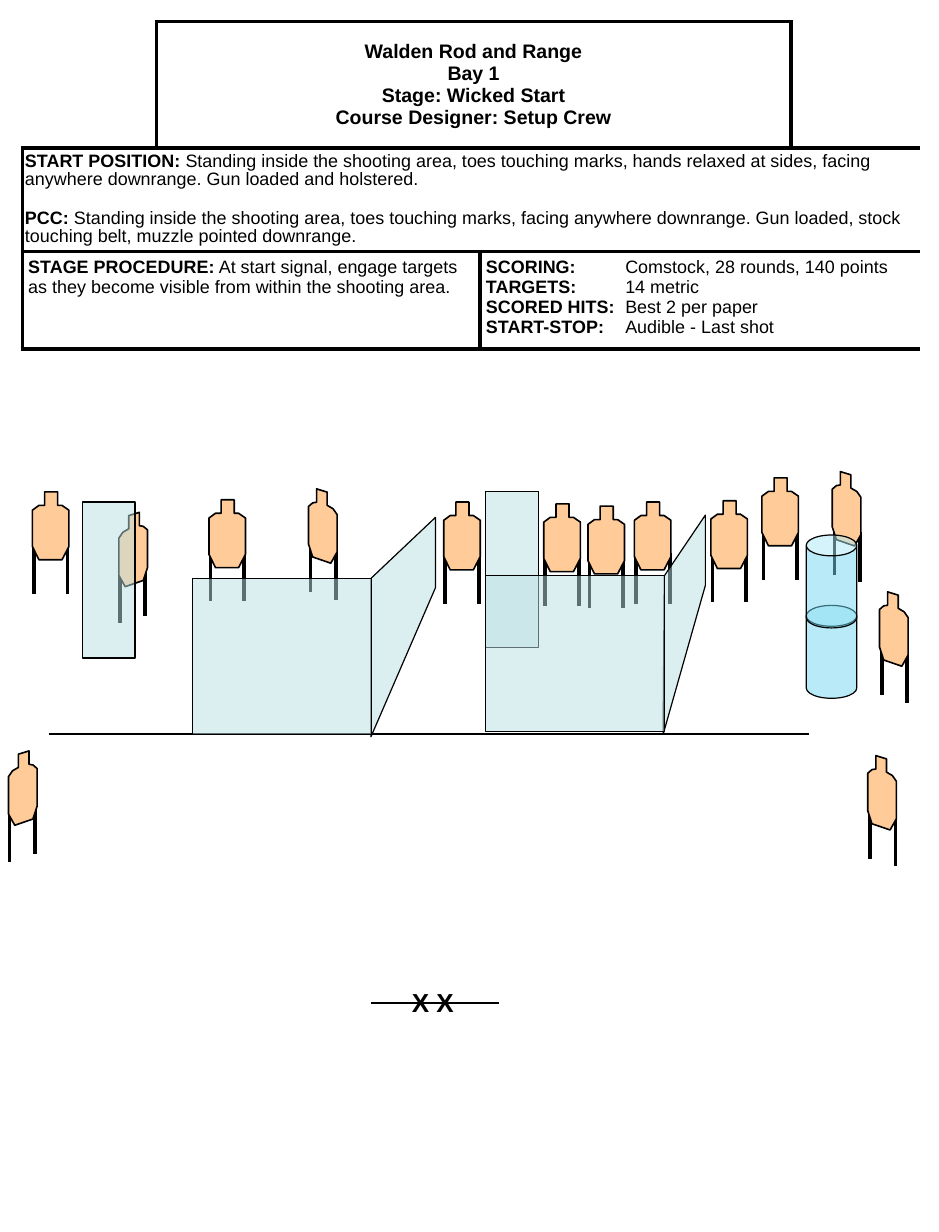
from dataclasses import dataclass
from typing import NamedTuple

from lxml import etree
from pptx import Presentation, util as u
from pptx.dml.color import RGBColor
from pptx.enum import shapes, text
from pptx.oxml import ns


@dataclass(frozen=True)
class Theme:
    font: str = "Arial"
    ink: str = "000000"
    paper: str = "FFFFFF"
    target: str = "FFCC99"
    wall: str = "BBE0E3"
    barrel: str = "73D9F1"
    title_size: float = 12
    body_size: float = 11
    mark_size: float = 16
    thin: float = 0.75
    outline: float = 1
    ground: float = 1.5
    heavy: float = 2.25


THEME = Theme()


class Outline(NamedTuple):
    width: float
    points: list
    legs: list


class Target(NamedTuple):
    left: float
    top: float
    outline: Outline
    mirrored: bool = False


class Panel(NamedTuple):
    left: float
    top: float
    width: float
    height: float


class Region(NamedTuple):
    row: int
    first: int
    last: int
    sides: str
    inset: tuple = (3.6, 3.6)


FRONT = Outline(
    22.4,
    [(7.5, 0), (15.5, 0), (15.5, 8.3), (18.2, 8.3), (22.4, 11.2), (22.4, 33.5),
     (18.2, 41.6), (4, 41.6), (0, 33.5), (0, 11.2), (4, 8.3), (7.5, 8.3)],
    [(0.9, 31, 62.4), (21.6, 31, 62.4)],
)
ANGLED = Outline(
    17.6,
    [(11.5, 2), (5, 0), (5, 8.2), (2.6, 8.6), (0, 10.8), (0, 33.8),
     (2.6, 41.8), (13.7, 45.6), (17.6, 38.7), (17.6, 15.8), (15.1, 12.2), (11.5, 10.1)],
    [(17, 37, 68), (1.4, 32.4, 63.4)],
)
TARGETS = [
    Target(510.5, 289.4, ANGLED),
    Target(272.2, 308.1, FRONT),
    Target(333.6, 309.2, FRONT),
    Target(360.7, 310.6, FRONT),
    Target(389.2, 308.1, FRONT),
    Target(128.2, 306.7, FRONT),
    Target(189.2, 300, ANGLED),
    Target(72.9, 314.4, ANGLED, True),
    Target(19.9, 301.9, FRONT),
    Target(532.3, 463.7, ANGLED),
    Target(5.2, 460.8, ANGLED, True),
    Target(539.5, 363.2, ANGLED),
    Target(436.1, 307.3, FRONT),
    Target(467.4, 293.3, FRONT),
]
BACK_PANEL = Panel(298, 301.4, 32.4, 95.8)
FRONT_PANELS = [
    Panel(118, 355, 110, 95.8),
    Panel(50.4, 308, 32.4, 95.8),
    Panel(297.6, 353.3, 110, 95.8),
]
SIDE_WALLS = [
    [(267.1, 360.7), (227.5, 452.2), (227.5, 355), (267.1, 317.5)],
    [(432.7, 359.3), (406.8, 450.7), (407.5, 353.5), (432.7, 316.1)],
]
BARRELS = [Panel(494.6, top, 31, 57) for top in (371.5, 328.3)]

EMPTY_LEFT = Region(0, 0, 0, "RB")
TITLE = Region(0, 1, 2, "LRTB")
EMPTY_RIGHT = Region(0, 3, 3, "LB")
START = Region(1, 0, 3, "LRTB", (1.6, 2.9))
PROCEDURE = Region(2, 0, 1, "LRTB")
SCORING = Region(2, 2, 3, "LRTB")


def color(value: str) -> RGBColor:
    return RGBColor.from_string(value)


def write(paragraph, content: str, *, size: float = THEME.body_size, bold: bool = False) -> None:
    run = paragraph.add_run()
    run.text = content
    run.font.name = THEME.font
    run.font.size = u.Pt(size)
    run.font.bold = bold
    run.font.color.rgb = color(THEME.ink)


def paint(shape, fill: str, width: float, opacity: int = 100) -> None:
    shape.shadow.inherit = False
    shape.fill.solid()
    shape.fill.fore_color.rgb = color(fill)
    shape.line.color.rgb = color(THEME.ink)
    shape.line.width = u.Pt(width)
    if opacity < 100:
        tint = shape.fill._xPr.find(".//" + ns.qn("a:srgbClr"))
        etree.SubElement(tint, ns.qn("a:alpha"), val=str(opacity * 1000))


def draw_line(parent, start: tuple, end: tuple, width: float) -> None:
    line = parent.add_connector(1, *map(u.Pt, (*start, *end)))
    line.line.color.rgb = color(THEME.ink)
    line.line.width = u.Pt(width)
    etree.SubElement(line._element.spPr, ns.qn("a:effectLst"))


def draw_polygon(parent, points: list, fill: str, width: float, opacity: int = 100) -> None:
    corners = [(u.Pt(x), u.Pt(y)) for x, y in points]
    builder = parent.build_freeform(*corners[0])
    builder.add_line_segments(corners[1:], close=True)
    paint(builder.convert_to_shape(), fill, width, opacity)


def draw_panel(parent, panel: Panel, fill: str, kind=shapes.MSO_SHAPE.RECTANGLE):
    shape = parent.add_shape(kind, *map(u.Pt, panel))
    paint(shape, fill, THEME.thin, 50)
    return shape


def draw_target(parent, target: Target) -> None:
    group = parent.add_group_shape().shapes
    outline = target.outline

    def across(x: float) -> float:
        return target.left + (outline.width - x if target.mirrored else x)

    for x, top, bottom in outline.legs:
        draw_line(group, (across(x), target.top + top), (across(x), target.top + bottom), THEME.heavy)
    points = [(across(x), target.top + y) for x, y in outline.points]
    draw_polygon(group, points, THEME.target, THEME.outline)


def format_region(table, region: Region):
    cells = [table.cell(region.row, column) for column in range(region.first, region.last + 1)]
    if len(cells) > 1:
        cells[0].merge(cells[-1])
    for cell in cells:
        cell.margin_left = cell.margin_right = u.Pt(region.inset[0])
        cell.margin_top = cell.margin_bottom = u.Pt(region.inset[1])
        properties = cell._tc.get_or_add_tcPr()
        for side in "LRTB":
            inner = (side == "L" and cell is not cells[0]) or (side == "R" and cell is not cells[-1])
            border = etree.SubElement(properties, ns.qn(f"a:ln{side}"), w=str(u.Pt(THEME.heavy)))
            if side in region.sides and not inner:
                fill = etree.SubElement(border, ns.qn("a:solidFill"))
                etree.SubElement(fill, ns.qn("a:srgbClr"), val=THEME.ink)
            else:
                etree.SubElement(border, ns.qn("a:noFill"))
        cell.fill.solid()
        cell.fill.fore_color.rgb = color(THEME.paper)
    return cells[0]


def write_entries(cell, entries: list, tab: float = 0, spacing: float = 1, gap: float = 0) -> None:
    for index, (label, detail) in enumerate(entries):
        paragraph = cell.text_frame.add_paragraph() if index else cell.text_frame.paragraphs[0]
        if tab:
            stops = etree.SubElement(paragraph._p.get_or_add_pPr(), ns.qn("a:tabLst"))
            etree.SubElement(stops, ns.qn("a:tab"), pos=str(u.Pt(tab)), algn="l")
        paragraph.line_spacing = spacing
        if index:
            paragraph.space_before = u.Pt(gap)
        write(paragraph, label, bold=True)
        write(paragraph, ("\t" if tab else " ") + detail)


def draw_briefing(parent) -> None:
    table = parent.add_table(3, 4, *map(u.Pt, (13.7, 13, 550.8, 201))).table
    table.first_row = table.horz_banding = False
    for column, width in zip(table.columns, (82.1, 198.7, 190.8, 79.2)):
        column.width = u.Pt(width)
    for row, height in zip(table.rows, (77.8, 63.2, 60)):
        row.height = u.Pt(height)

    format_region(table, EMPTY_LEFT)
    format_region(table, EMPTY_RIGHT)
    title = format_region(table, TITLE)
    title.vertical_anchor = text.MSO_ANCHOR.MIDDLE
    paragraph = title.text_frame.paragraphs[0]
    paragraph.alignment = text.PP_ALIGN.CENTER
    lines = ["Walden Rod and Range", "Bay 1", "Stage: Wicked Start", "Course Designer: Setup Crew"]
    for index, line in enumerate(lines):
        if index:
            paragraph.add_line_break()
        write(paragraph, line, size=THEME.title_size, bold=True)

    write_entries(format_region(table, START), [
        ("START POSITION:", "Standing inside the shooting area, toes touching marks, hands relaxed at sides, "
         "facing anywhere downrange. Gun loaded and holstered."),
        ("PCC:", "Standing inside the shooting area, toes touching marks, facing anywhere downrange. "
         "Gun loaded, stock touching belt, muzzle pointed downrange."),
    ], spacing=0.9, gap=13.5)
    write_entries(format_region(table, PROCEDURE), [
        ("STAGE PROCEDURE:", "At start signal, engage targets as they become visible from within the shooting area."),
    ])
    write_entries(format_region(table, SCORING), [
        ("SCORING:", "Comstock, 28 rounds, 140 points"),
        ("TARGETS:", "14 metric"),
        ("SCORED HITS:", "Best 2 per paper"),
        ("START-STOP:", "Audible - Last shot"),
    ], tab=85.5)


def draw_start_marks(parent) -> None:
    box = parent.add_textbox(*map(u.Pt, (245.5, 602, 41.8, 26.6)))
    box.text_frame.word_wrap = False
    box.text_frame.auto_size = text.MSO_AUTO_SIZE.SHAPE_TO_FIT_TEXT
    write(box.text_frame.paragraphs[0], "X X", size=THEME.mark_size, bold=True)
    draw_line(parent, (227.5, 615.6), (306, 615.6), THEME.ground)


def main() -> None:
    presentation = Presentation()
    presentation.slide_width, presentation.slide_height = u.Pt(576), u.Pt(756)
    parent = presentation.slides.add_slide(presentation.slide_layouts[6]).shapes
    draw_panel(parent, BACK_PANEL, THEME.wall)
    for target in TARGETS:
        draw_target(parent, target)
    draw_briefing(parent)
    draw_start_marks(parent)
    draw_line(parent, (30.2, 450.5), (496, 450.5), THEME.ground)
    for wall in SIDE_WALLS:
        draw_polygon(parent, wall, THEME.wall, THEME.thin, 50)
    for barrel in BARRELS:
        can = draw_panel(parent, barrel, THEME.barrel, shapes.MSO_SHAPE.CAN)
        can.adjustments[0] = 0.413
    for panel in FRONT_PANELS:
        draw_panel(parent, panel, THEME.wall)
    presentation.save("out.pptx")


if __name__ == "__main__":
    main()
